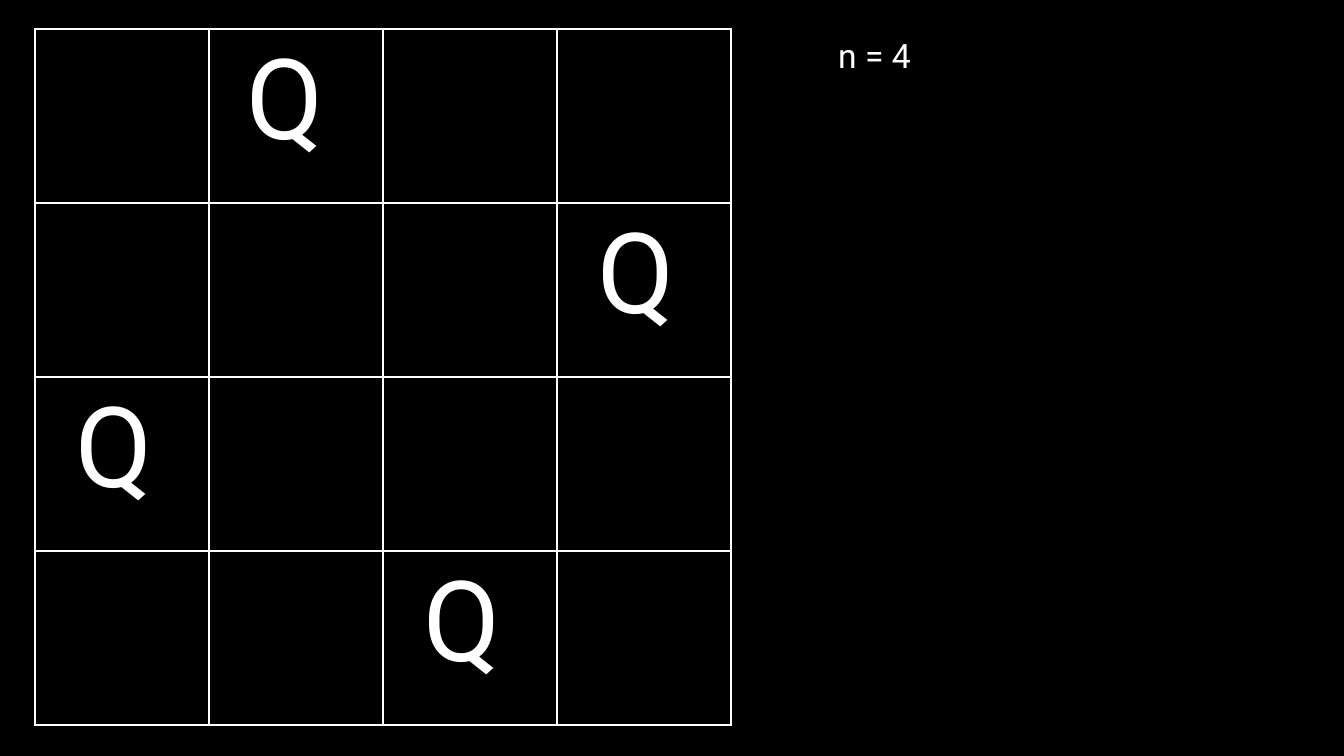
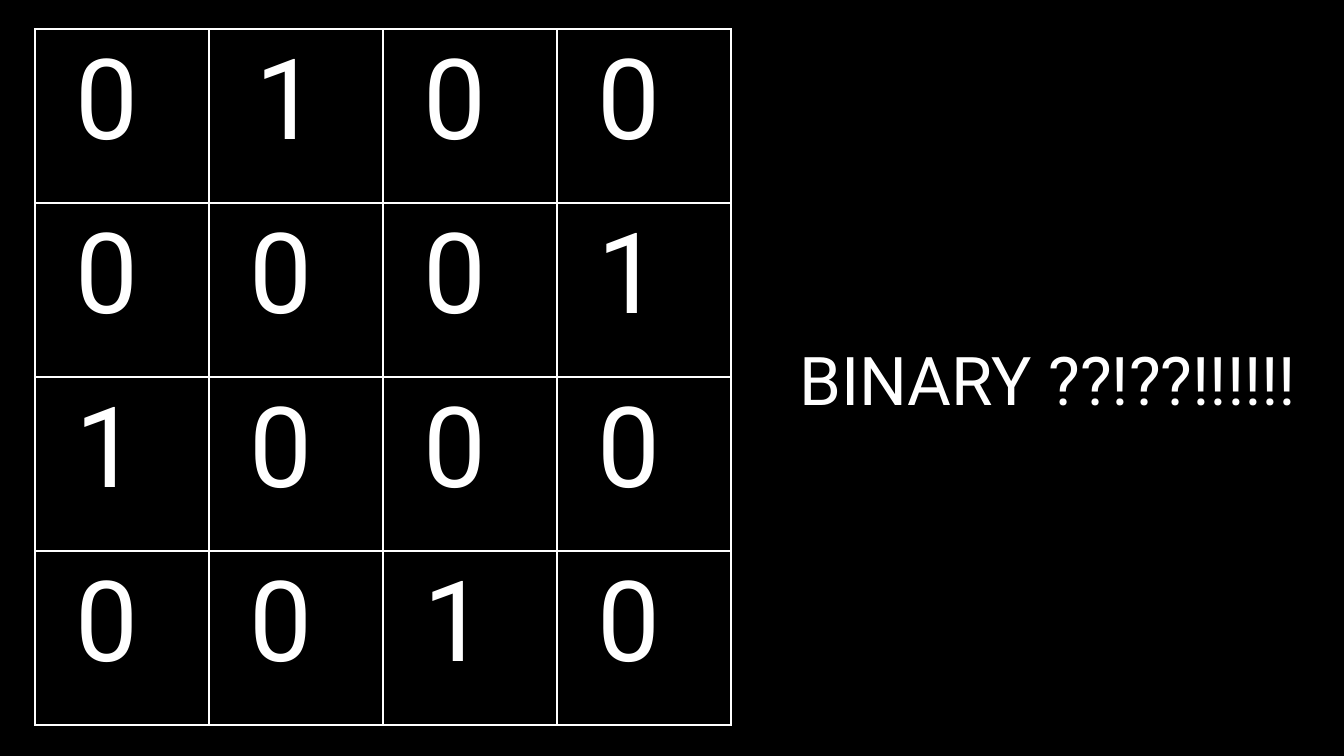
from dataclasses import dataclass

from lxml import etree
from pptx import Presentation
from pptx.dml.color import RGBColor
from pptx.enum.text import MSO_AUTO_SIZE
from pptx.oxml.ns import qn
from pptx.util import Emu, Pt

FIT_SHAPE = MSO_AUTO_SIZE.SHAPE_TO_FIT_TEXT

BLACK = RGBColor(0x00, 0x00, 0x00)
WHITE = RGBColor(0xFF, 0xFF, 0xFF)
FONT = "Roboto"
MARK_SIZE = 60
BORDER = Pt(1)

# Board geometry in px
PAGE_WIDTH, PAGE_HEIGHT = 1344, 756
BOARD_LEFT, BOARD_TOP = 35, 29
CELL = 174
INDENT = 41


@dataclass(frozen=True)
class Label:
    text: str
    left: int
    top: int
    width: int
    height: int
    size: int


@dataclass(frozen=True)
class Board:
    rows: tuple[str, ...]  # one character a square, "." for an empty one
    first_row_indent: int
    label: Label


BOARDS = (
    Board((".Q..", "...Q", "Q...", "..Q."), 38,
          Label("n = 4", 825, 28, 102, 54, 18)),
    Board(("0100", "0001", "1000", "0010"), 47,
          Label("BINARY ??!??!!!!!!", 786, 332, 535, 95, 36)),
)


def px(length: int) -> Emu:
    return Emu(round(length * 914400 / 134.4))


def add_span(para, text: str, size: int) -> None:
    span = para.add_run()
    span.text = text
    span.font.name = FONT
    span.font.size = Pt(size)
    span.font.color.rgb = WHITE


def outline_cell(cell) -> None:
    properties = cell._tc.get_or_add_tcPr()
    for side in ("a:lnL", "a:lnR", "a:lnT", "a:lnB"):
        line = etree.SubElement(properties, qn(side), w=str(int(BORDER)))
        fill = etree.SubElement(line, qn("a:solidFill"))
        etree.SubElement(fill, qn("a:srgbClr"), val=str(WHITE))
    cell.fill.background()


def add_board(page, board: Board) -> None:
    count = len(board.rows)
    side = px(CELL * count)
    table = page.shapes.add_table(
        count, count, px(BOARD_LEFT), px(BOARD_TOP), side, side).table
    table.first_row = False
    table.horz_banding = False
    for line in (*table.columns, ):
        line.width = px(CELL)
    for line in table.rows:
        line.height = px(CELL)

    for row, marks in enumerate(board.rows):
        for column, mark in enumerate(marks):
            cell = table.cell(row, column)
            outline_cell(cell)
            if mark != ".":
                # The second square of the top row has its own indent
                special = (row, column) == (0, 1)
                cell.margin_left = px(board.first_row_indent if special else INDENT)
                add_span(cell.text_frame.paragraphs[0], mark, MARK_SIZE)


def add_label(page, label: Label) -> None:
    box = page.shapes.add_textbox(
        px(label.left), px(label.top), px(label.width), px(label.height))
    box.text_frame.word_wrap = False
    box.text_frame.auto_size = FIT_SHAPE
    add_span(box.text_frame.paragraphs[0], label.text, label.size)


def main() -> None:
    deck = Presentation()
    deck.slide_width, deck.slide_height = px(PAGE_WIDTH), px(PAGE_HEIGHT)
    blank = deck.slide_layouts[6]

    # One page for each board
    for board in BOARDS:
        page = deck.slides.add_slide(blank)
        page.background.fill.solid()
        page.background.fill.fore_color.rgb = BLACK
        add_board(page, board)
        add_label(page, board.label)

    deck.save("out.pptx")


if __name__ == "__main__":
    main()
